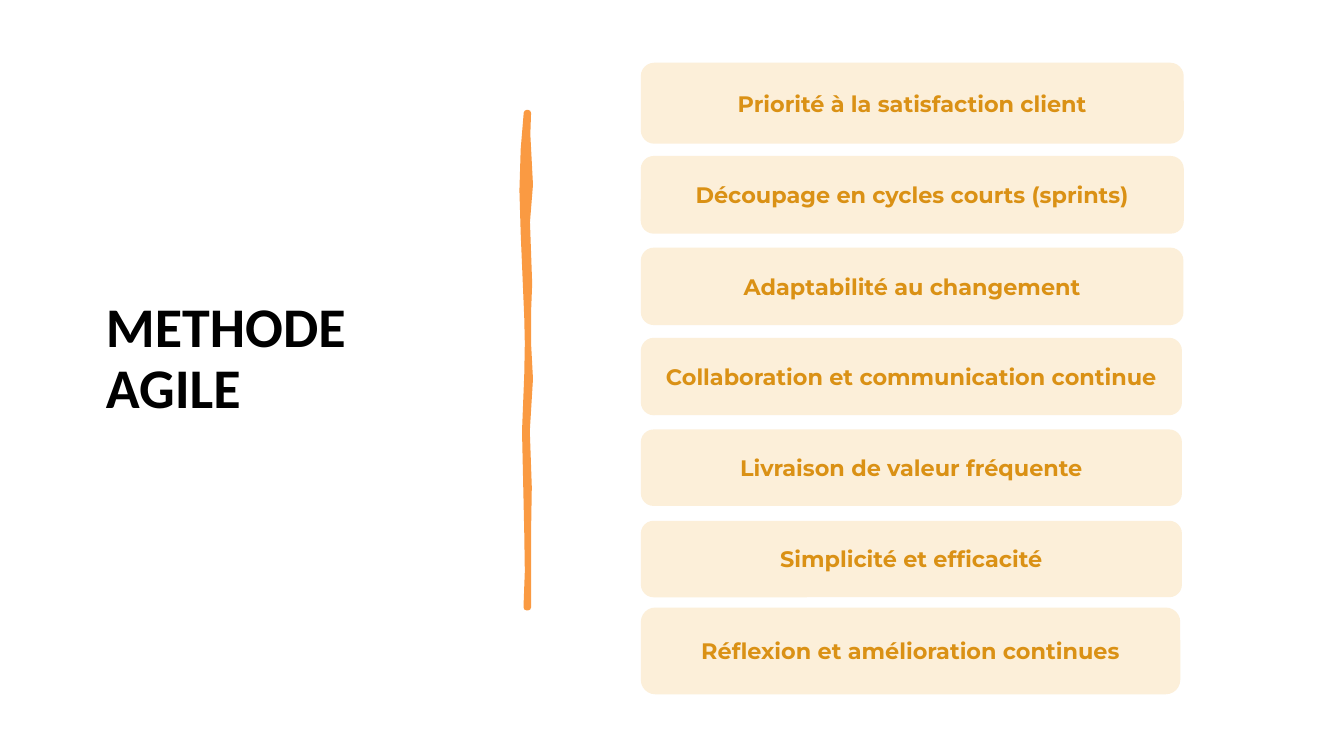
from pptx import Presentation
from pptx.dml.color import RGBColor
from pptx.enum.shapes import MSO_SHAPE
from pptx.enum.text import MSO_ANCHOR, PP_ALIGN
from pptx.util import Pt

ROUNDED = MSO_SHAPE.ROUNDED_RECTANGLE
MIDDLE = MSO_ANCHOR.MIDDLE
CENTER = PP_ALIGN.CENTER

COLORS = {"title": "000000", "brush": "FA9A42", "card": "FCEFD9", "label": "DA9115"}
TITLE_FONT = {"name": "Calibri", "size": Pt(30), "bold": True}
LABEL_FONT = {"name": "Montserrat", "size": Pt(12), "bold": True}


def write_text(shape, text, font_format, color):
    frame = shape.text_frame
    frame.word_wrap = True
    frame.vertical_anchor = MIDDLE
    paragraph = frame.paragraphs[0]
    paragraph.text = text
    for name, value in font_format.items():
        setattr(paragraph.font, name, value)
    paragraph.font.color.rgb = RGBColor.from_string(COLORS[color])
    return paragraph


presentation = Presentation()
presentation.slide_width = Pt(720)
presentation.slide_height = Pt(405)
slide = presentation.slides.add_slide(presentation.slide_layouts[6])

# Title
title = slide.shapes.add_textbox(Pt(49.7), Pt(32.4), Pt(212.4), Pt(321))
paragraph = write_text(title, "METHODE AGILE", TITLE_FONT, "title")
paragraph.line_spacing = 0.9

# Brush stroke: down the right edge, back up the left edge
brush_outline = [
    (282.9, 60.5), (282.5, 72), (283.9, 99), (282.3, 119), (283.5, 152),
    (282.9, 167), (282.9, 184), (283.9, 203), (282.2, 231), (283.3, 261),
    (282.9, 285), (282.9, 325.4),
    (282.1, 325.4), (282.8, 306), (282.5, 285), (281.3, 231), (282.5, 201),
    (282.8, 184), (282.5, 170), (280.6, 125), (279.9, 102), (280.6, 80),
    (282.2, 60.5)]
vertices = [(Pt(x), Pt(y)) for x, y in brush_outline]
builder = slide.shapes.build_freeform(*vertices[0])
builder.add_line_segments(vertices[1:], close=True)
brush = builder.convert_to_shape()
brush.shadow.inherit = False
brush.fill.solid()
brush.fill.fore_color.rgb = RGBColor.from_string(COLORS["brush"])
brush.line.color.rgb = RGBColor.from_string(COLORS["brush"])
brush.line.width = Pt(3.25)

# Principle cards, stacked from the bottom up: top, width, height, label
CARD_LEFT = 343.3
cards = [
    (325.5, 289, 46.5, "Réflexion et amélioration continues"),
    (279, 289.9, 41, "Simplicité et efficacité"),
    (230.1, 289.9, 41, "Livraison de valeur fréquente"),
    (181, 289.9, 41.5, "Collaboration et communication continue"),
    (132.7, 290.7, 41.5, "Adaptabilité au changement"),
    (83.6, 290.9, 41.6, "Découpage en cycles courts (sprints)"),
    (33.6, 290.9, 43.4, "Priorité à la satisfaction client"),
]
for top, width, height, label in cards:
    card = slide.shapes.add_shape(ROUNDED, Pt(CARD_LEFT), Pt(top), Pt(width), Pt(height))
    card.shadow.inherit = False
    card.fill.solid()
    card.fill.fore_color.rgb = RGBColor.from_string(COLORS["card"])
    card.line.fill.background()
    paragraph = write_text(card, label, LABEL_FONT, "label")
    paragraph.alignment = CENTER

presentation.save("out.pptx")
